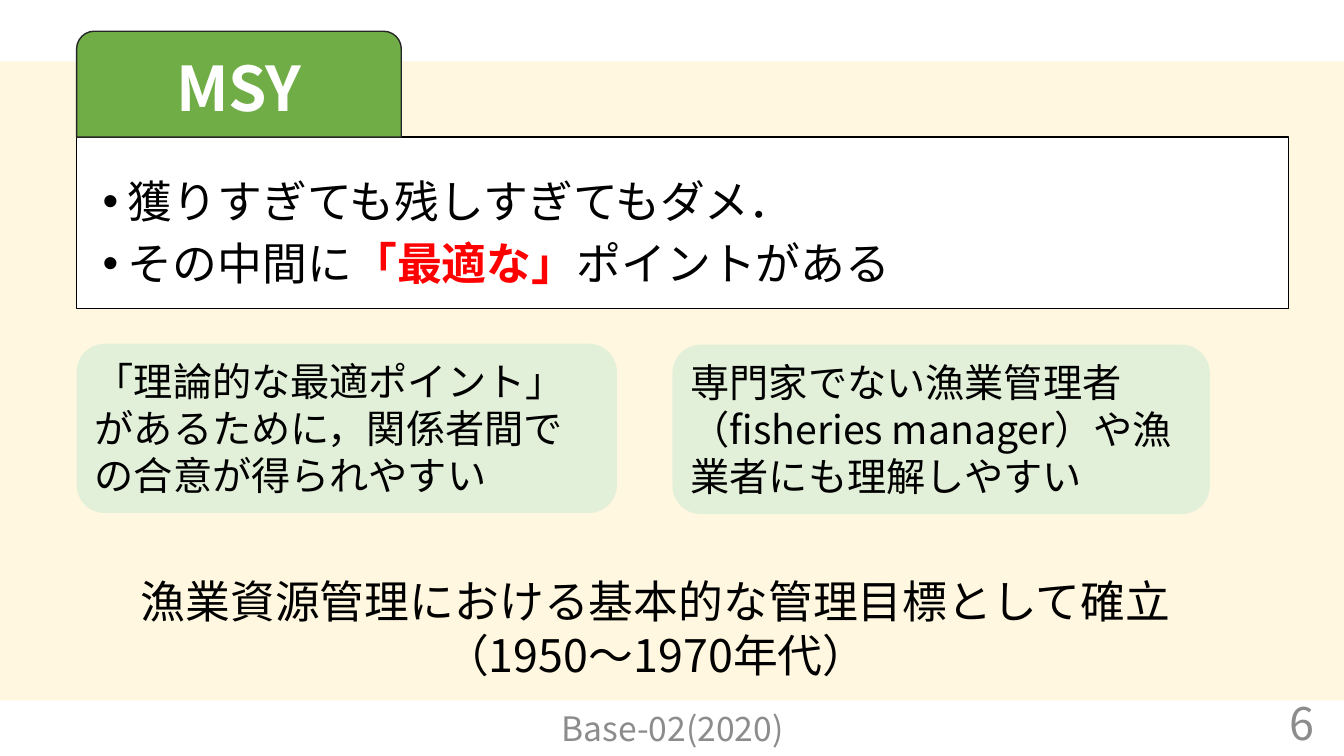
"""Build the slide that introduces MSY as a fisheries management target."""
from lxml.etree import SubElement
from pptx import Presentation
from pptx.dml.color import RGBColor
from pptx.enum.shapes import MSO_SHAPE
from pptx.enum.text import MSO_ANCHOR, PP_ALIGN
from pptx.oxml.ns import qn
from pptx.util import Inches, Pt

FONT = "Noto Sans CJK JP"
COLORS = {
    "band": "FFF7DF",
    "white": "FFFFFF",
    "black": "000000",
    "tab": "70AD47",
    "tab_edge": "262626",
    "benefit": "E2F0D9",
    "emphasis": "FF0000",
    "footer": "8C8C8C",
}


def rgb(name):
    """Return the palette colour of that name."""
    return RGBColor.from_string(COLORS[name])


def add_panel(slide, box, fill, line=None, preset=MSO_SHAPE.RECTANGLE):
    """Add a filled shape and return it."""
    panel = slide.shapes.add_shape(preset, *map(Inches, box))
    panel.shadow.inherit = False
    panel.fill.solid()
    panel.fill.fore_color.rgb = rgb(fill)
    if line:
        panel.line.color.rgb = rgb(line)
        panel.line.width = Pt(1)
    else:
        panel.line.fill.background()
    return panel


def add_label(slide, box):
    """Add an empty text box and return it."""
    return slide.shapes.add_textbox(*map(Inches, box))


def add_bullet(paragraph):
    """Give a paragraph a hanging round bullet."""
    properties = paragraph._p.get_or_add_pPr()
    properties.set("marL", str(Inches(0.25)))
    properties.set("indent", str(-Inches(0.25)))
    SubElement(properties, qn("a:buFont"), typeface="Arial")
    SubElement(properties, qn("a:buChar"), char="•")


def write(holder, *lines, size=32, color="black", bold=False,
          align=PP_ALIGN.LEFT, anchor=MSO_ANCHOR.TOP, bullets=False):
    """Write lines, each a list of plain strings or (text, colour, bold) runs."""
    frame = holder.text_frame
    frame.word_wrap = True
    frame.vertical_anchor = anchor
    for index, line in enumerate(lines):
        paragraph = frame.add_paragraph() if index else frame.paragraphs[0]
        paragraph.alignment = align
        if bullets:
            paragraph.line_spacing = 0.9
            if index:
                paragraph.space_before = Pt(10)
            add_bullet(paragraph)
        for part in line:
            text, ink, weight = (part, color, bold) if isinstance(part, str) else part
            run = paragraph.add_run()
            run.text = text
            run.font.size = Pt(size)
            run.font.bold = weight
            run.font.color.rgb = rgb(ink)
            run.font.name = FONT
            SubElement(run._r.get_or_add_rPr(), qn("a:ea"), typeface=FONT)


def main():
    """Compose and save the slide."""
    deck = Presentation()
    deck.slide_width, deck.slide_height = Inches(13.33), Inches(7.5)
    slide = deck.slides.add_slide(deck.slide_layouts[6])

    add_panel(slide, (0, 0.61, 13.33, 6.34), "band")
    add_panel(slide, (0.76, 1.36, 12.02, 1.7), "white", "black")
    write(add_label(slide, (0.92, 1.73, 11.5, 1.3)),
          ["獲りすぎても残しすぎてもダメ．"],
          ["その中間に", ("「最適な」", "emphasis", True), "ポイントがある"],
          bullets=True)

    title_tab = add_panel(slide, (0.76, 0.31, 3.22, 1.05), "tab", "tab_edge",
                          MSO_SHAPE.ROUND_2_SAME_RECTANGLE)
    write(title_tab, ["MSY"], size=44, color="white", bold=True,
          align=PP_ALIGN.CENTER, anchor=MSO_ANCHOR.MIDDLE)

    benefits = [
        ((0.76, 3.41, 5.36, 1.68),
         "「理論的な最適ポイント」があるために，関係者間での合意が得られやすい"),
        ((6.67, 3.42, 5.33, 1.68),
         "専門家でない漁業管理者（fisheries manager）や漁業者にも理解しやすい"),
    ]
    for box, benefit in benefits:
        card = add_panel(slide, box, "benefit", preset=MSO_SHAPE.ROUNDED_RECTANGLE)
        write(card, [benefit], size=28)

    write(add_label(slide, (0.76, 5.64, 11.49, 1.18)),
          ["漁業資源管理における基本的な管理目標として確立（1950～1970年代）"],
          align=PP_ALIGN.CENTER)

    write(add_label(slide, (10.13, 6.97, 3, 0.4)), ["6"], color="footer",
          align=PP_ALIGN.RIGHT, anchor=MSO_ANCHOR.MIDDLE)
    write(add_label(slide, (4.42, 6.95, 4.5, 0.55)), ["Base-02(2020)"], size=24,
          color="footer", align=PP_ALIGN.CENTER, anchor=MSO_ANCHOR.MIDDLE)

    deck.save("out.pptx")


if __name__ == "__main__":
    main()
